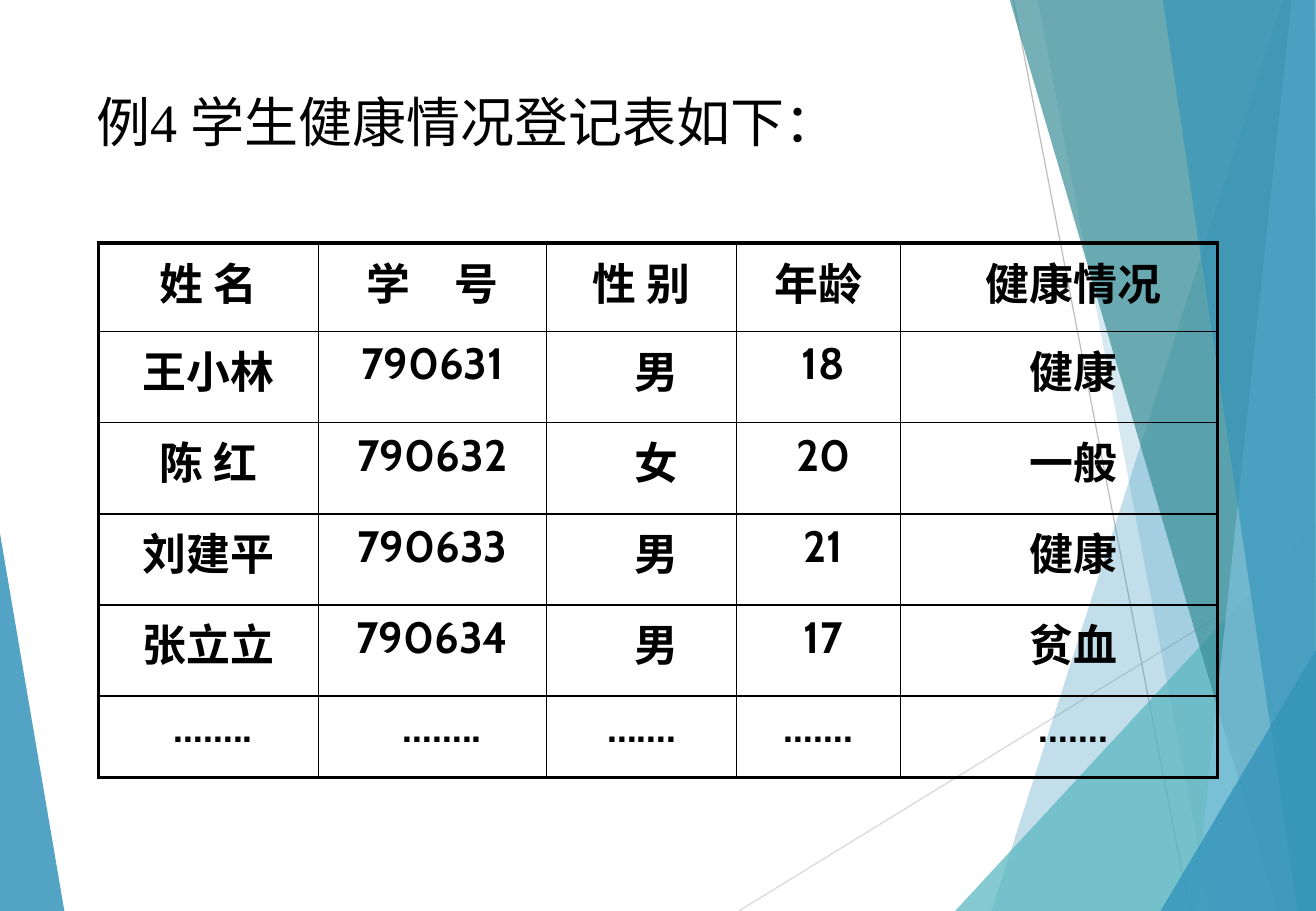
import pptx
import pptx.dml.color
import pptx.enum.text
import pptx.oxml
import pptx.oxml.ns
import pptx.util
from dataclasses import dataclass
from lxml import etree

PX = 9144


@dataclass(frozen=True)
class Theme:
    black: str = "000000"
    blue: str = "3494BA"
    aqua: str = "58B6C0"
    teal: str = "3A8F98"
    sky: str = "7FC1DB"
    pale_grey: str = "D9D9D9"
    grey: str = "BFBFBF"
    title_font: str = "Times New Roman"
    table_font: str = "Cabin"
    title_size: int = 32
    table_size: int = 26
    dots_size: int = 25
    hairline: float = 0.75
    inner_border: float = 1
    outer_border: float = 2.25


THEME = Theme()

LEFT_WEDGE = ([(0, 439), (53, 750), (0, 750)], THEME.blue, 85)
RAYS = [((608, 750), (1083, 458), THEME.pale_grey), ((834, 0), (979, 750), THEME.grey)]
RIGHT_FACETS = [
    ([(1056, 0), (816, 750), (1083, 750), (1083, 0)], THEME.blue, 30),
    ([(854, 0), (996, 750), (1083, 750), (1083, 0)], THEME.blue, 20),
    ([(786, 750), (1083, 429), (1083, 750)], THEME.aqua, 72),
    ([(831, 0), (1051, 750), (1083, 750), (1083, 0)], THEME.teal, 70),
    ([(1063, 0), (983, 750), (1083, 750), (1083, 0)], THEME.sky, 70),
    ([(957, 0), (1068, 750), (1083, 750), (1082, 0)], THEME.blue, 65),
    ([(955, 750), (1083, 535), (1083, 750)], THEME.blue, 80),
]

HEADERS = ["姓 名", "学　号", "性 别", "年龄", "健康情况"]
STUDENTS = [
    ["王小林", "790631", "男", "18", "健康"],
    ["陈 红", "790632", "女", "20", "一般"],
    ["刘建平", "790633", "男", "21", "健康"],
    ["张立立", "790634", "男", "17", "贫血"],
]
DOTS = ["……..", "……..", "…….", "…….", "……."]
HEADER_INDENTS = [0, 0, 0, 0, 24]
STUDENT_INDENTS = [0, 0, 24, 8, 24]
DOTS_INDENTS = [8, 16, 0, 0, 24]
COLUMN_WIDTHS = [181, 188, 156, 135, 261]
ROW_HEIGHTS = [73, 75, 75, 75, 75, 67]


def px(length):
    return pptx.util.Emu(length * PX)


def rgb(color):
    return pptx.dml.color.RGBColor.from_string(color)


def apply_format(target, values):
    for name, value in values.items():
        setattr(target, name, value)


def write_text(paragraph, text, paragraph_format, font_format):
    apply_format(paragraph, paragraph_format)
    run = paragraph.add_run()
    run.text = text
    apply_format(run.font, font_format)
    run.font.color.rgb = rgb(THEME.black)


def add_facet(slide, points, color, opacity):
    builder = slide.shapes.build_freeform(*points[0], scale=PX)
    builder.add_line_segments(points[1:], close=True)
    shape = builder.convert_to_shape()
    shape.shadow.inherit = False
    shape.line.fill.background()
    shape.fill.solid()
    shape.fill.fore_color.rgb = rgb(color)
    color_element = shape.fill._xPr.find(".//" + pptx.oxml.ns.qn("a:srgbClr"))
    etree.SubElement(color_element, pptx.oxml.ns.qn("a:alpha"), val=str(opacity * 1000))


def add_ray(slide, start, end, color):
    connector = slide.shapes.add_connector(
        pptx.enum.shapes.MSO_CONNECTOR.STRAIGHT, *map(px, start + end))
    connector.line.color.rgb = rgb(color)
    connector.line.width = pptx.util.Pt(THEME.hairline)
    etree.SubElement(connector._element.spPr, pptx.oxml.ns.qn("a:effectLst"))


def set_title(slide, text):
    title = slide.shapes.title
    apply_format(title, {"left": px(69), "top": px(68), "width": px(662), "height": px(117)})
    apply_format(title.text_frame, {
        "word_wrap": True,
        "auto_size": pptx.enum.text.MSO_AUTO_SIZE.NONE,
        "vertical_anchor": pptx.enum.text.MSO_ANCHOR.TOP,
    })
    write_text(
        title.text_frame.paragraphs[0], text,
        {"alignment": pptx.enum.text.PP_ALIGN.LEFT},
        {"name": THEME.title_font, "size": pptx.util.Pt(THEME.title_size), "bold": False})


def set_borders(cell, widths):
    properties = cell._tc.get_or_add_tcPr()
    for position, (side, width) in enumerate(widths.items()):
        border = pptx.oxml.parse_xml(
            f'<a:{side} {pptx.oxml.ns.nsdecls("a")} w="{pptx.util.Pt(width)}">'
            f'<a:solidFill><a:srgbClr val="{THEME.black}"/></a:solidFill></a:{side}>')
        properties.insert(position, border)


def fill_cell(cell, text, indent, size):
    cell.fill.background()
    cell.margin_left = px(10 + indent)
    write_text(
        cell.text_frame.paragraphs[0], text,
        {"alignment": pptx.enum.text.PP_ALIGN.CENTER, "space_before": pptx.util.Pt(7)},
        {"name": THEME.table_font, "size": pptx.util.Pt(size), "bold": True})


def add_health_table(slide):
    rows = [(HEADERS, HEADER_INDENTS, THEME.table_size)]
    rows += [(student, STUDENT_INDENTS, THEME.table_size) for student in STUDENTS]
    rows.append((DOTS, DOTS_INDENTS, THEME.dots_size))
    last_row, last_column = len(rows) - 1, len(HEADERS) - 1
    table = slide.shapes.add_table(
        len(rows), len(HEADERS), px(81), px(200),
        px(sum(COLUMN_WIDTHS)), px(sum(ROW_HEIGHTS))).table
    apply_format(table, {"first_row": False, "horz_banding": False})
    for column, width in zip(table.columns, COLUMN_WIDTHS):
        column.width = px(width)
    for row, height in zip(table.rows, ROW_HEIGHTS):
        row.height = px(height)
    for row_index, (texts, indents, size) in enumerate(rows):
        for column_index, (text, indent) in enumerate(zip(texts, indents)):
            cell = table.cell(row_index, column_index)
            fill_cell(cell, text, indent, size)
            outer_sides = {
                "lnL": column_index == 0,
                "lnR": column_index == last_column,
                "lnT": row_index == 0,
                "lnB": row_index == last_row,
            }
            set_borders(cell, {
                side: THEME.outer_border if outer else THEME.inner_border
                for side, outer in outer_sides.items()})


def main():
    presentation = pptx.Presentation()
    apply_format(presentation, {"slide_width": px(1083), "slide_height": px(750)})
    slide = presentation.slides.add_slide(presentation.slide_layouts[5])
    add_facet(slide, *LEFT_WEDGE)
    for ray in RAYS:
        add_ray(slide, *ray)
    for facet in RIGHT_FACETS:
        add_facet(slide, *facet)
    add_health_table(slide)
    set_title(slide, "例4 学生健康情况登记表如下：")
    presentation.save("out.pptx")


if __name__ == "__main__":
    main()
